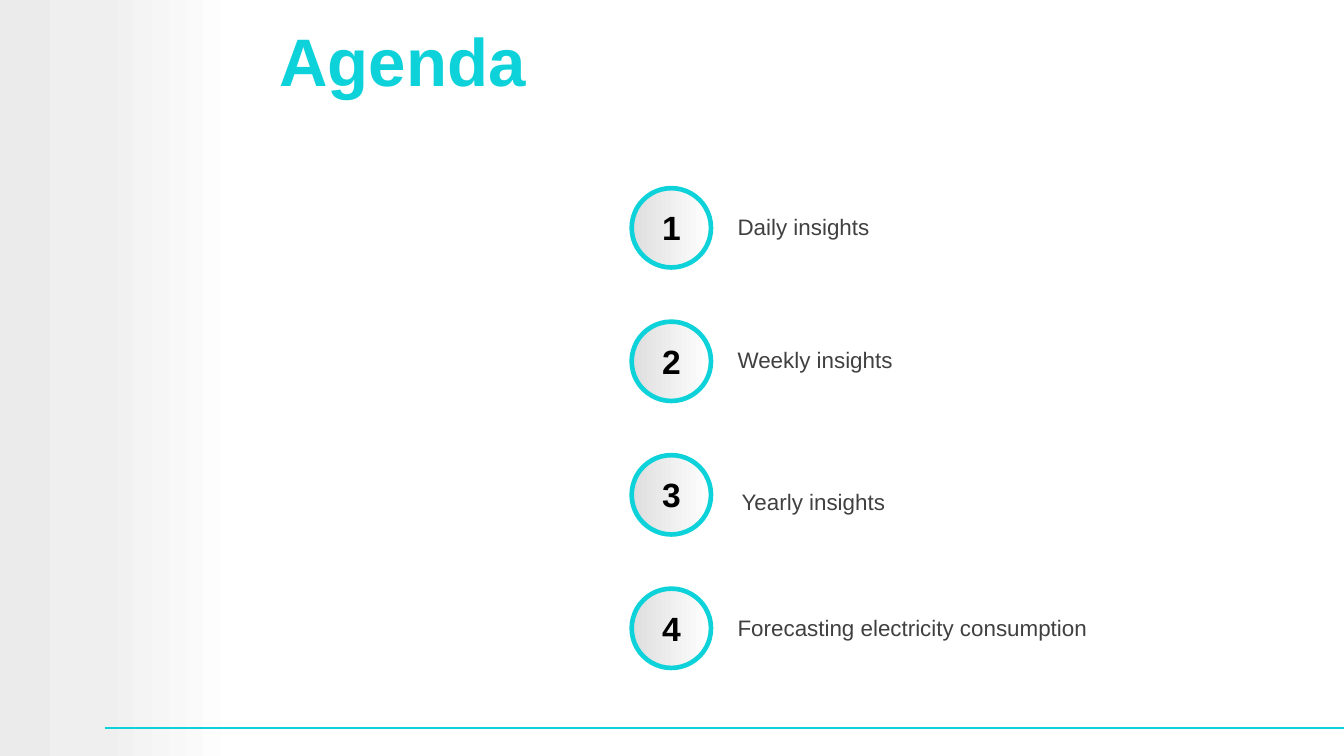
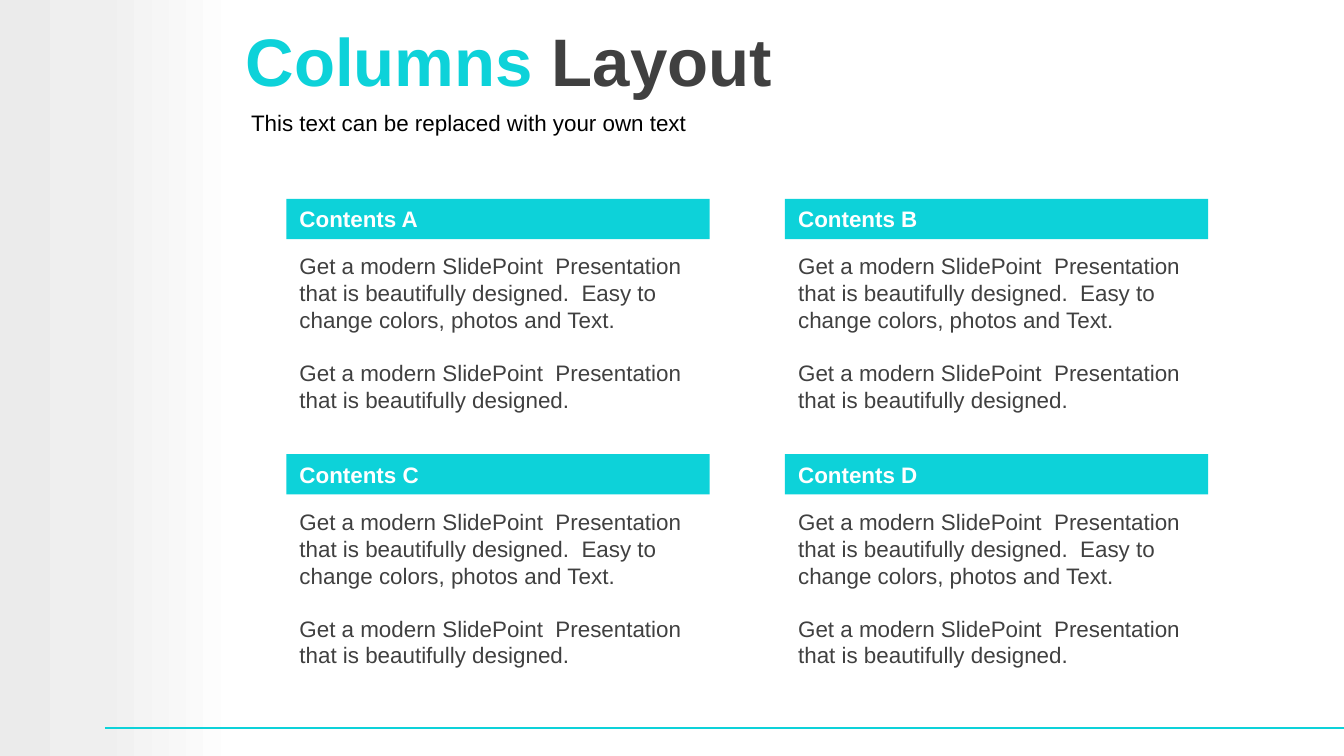
"""Build an agenda slide and a four-block columns slide."""
import copy
import pptx
import pptx.util
import pptx.dml.color
import pptx.enum.shapes
import pptx.enum.text
import pptx.oxml.ns
import lxml.etree

Inches = pptx.util.Inches
Pt = pptx.util.Pt
RGBColor = pptx.dml.color.RGBColor
SHAPE = pptx.enum.shapes.MSO_SHAPE
ANCHOR = pptx.enum.text.MSO_ANCHOR
ALIGN = pptx.enum.text.PP_ALIGN
qn = pptx.oxml.ns.qn

CYAN = RGBColor(0x0D, 0xD2, 0xD9)
DARK = RGBColor(0x40, 0x40, 0x40)
BLACK = RGBColor(0, 0, 0)
WHITE = RGBColor(255, 255, 255)
BAND = [(0, RGBColor(0xEB, 0xEB, 0xEB)), (0.42, RGBColor(0xEF, 0xEF, 0xEF)), (1, WHITE)]
DISC = [(0, RGBColor(0xDE, 0xDE, 0xDE)), (1, WHITE)]


def shade(shape, stops):
    shape.shadow.inherit = False
    shape.fill.gradient()
    shape.fill.gradient_angle = 0
    tree = shape._element.spPr.find(".//" + qn("a:gsLst"))
    while len(tree) < len(stops):
        tree.append(copy.deepcopy(tree[-1]))
    for stop, (place, color) in zip(shape.fill.gradient_stops, stops):
        stop.position = place
        stop.color.rgb = color


def write(shape, paras, size, anchor=ANCHOR.TOP, align=ALIGN.LEFT, bold=False):
    frame = shape.text_frame
    frame.word_wrap = True
    frame.vertical_anchor = anchor
    for index, parts in enumerate(paras):
        para = frame.add_paragraph() if index else frame.paragraphs[0]
        para.alignment = align
        for text, color in parts:
            run = para.add_run()
            run.text = text
            run.font.name = "Arial"
            run.font.size = Pt(size)
            run.font.bold = bold
            run.font.color.rgb = color
    return frame


deck = pptx.Presentation()
deck.slide_width = Inches(10)
deck.slide_height = Inches(10) * 9 // 16

titles = [
    (1.98, [("Agenda", CYAN)]),
    (1.73, [("Columns", CYAN), (" Layout", DARK)]),
]
slides = []
for left, parts in titles:
    slide = deck.slides.add_slide(deck.slide_layouts[6])
    band = slide.shapes.add_shape(SHAPE.RECTANGLE, 0, 0, Inches(1.77), deck.slide_height)
    shade(band, BAND)
    band.line.fill.background()
    rule = slide.shapes.add_connector(
        pptx.enum.shapes.MSO_CONNECTOR.STRAIGHT,
        Inches(0.78), Inches(5.42), Inches(10), Inches(5.42))
    rule.line.color.rgb = CYAN
    rule.line.width = Pt(1)
    lxml.etree.SubElement(rule._element.spPr, qn("a:effectLst"))
    title = slide.shapes.add_textbox(
        Inches(left), Inches(0.02), Inches(10 - left), Inches(0.85))
    write(title, [parts], 36, ANCHOR.MIDDLE, bold=True)
    slides.append(slide)

agenda, columns = slides

items = [
    ("Daily insights", 5.39, 1.54),
    ("Weekly insights", 5.39, 2.53),
    ("Yearly insights", 5.42, 3.58),
    ("Forecasting electricity consumption", 5.39, 4.52),
]
for index, (text, left, top) in enumerate(items):
    level = Inches(1.4 + index * 2.98 / 3)
    disc = agenda.shapes.add_shape(
        SHAPE.OVAL, Inches(4.7), level, Inches(0.59), Inches(0.59))
    shade(disc, DISC)
    disc.line.color.rgb = CYAN
    disc.line.width = Pt(2.5)
    digit = agenda.shapes.add_textbox(
        Inches(4.8), level + Inches(0.09), Inches(0.39), Inches(0.4))
    write(digit, [[(str(index + 1), BLACK)]], 18, ANCHOR.MIDDLE, ALIGN.CENTER, True)
    label = agenda.shapes.add_textbox(Inches(left), Inches(top), Inches(3.83), Inches(0.3))
    write(label, [[(text, DARK)]], 12)

note = columns.shapes.add_textbox(Inches(1.77), Inches(0.76), Inches(8.23), Inches(0.29))
write(note, [[("This text can be replaced with your own text", BLACK)]], 12)

lead = "Get a modern SlidePoint  Presentation that is beautifully designed."
more = "  Easy to change colors, photos and Text."
for index, letter in enumerate("ABCD"):
    row, col = divmod(index, 2)
    left = Inches(2.13 + col * 3.71)
    top = Inches(1.48 + row * 1.9)
    body = columns.shapes.add_textbox(left, top + Inches(0.35), Inches(3.15), Inches(1.31))
    frame = write(body, [[(lead + more, DARK)], [(lead, DARK)]], 12)
    frame.paragraphs[0].space_after = Pt(14)
    head = columns.shapes.add_shape(SHAPE.RECTANGLE, left, top, Inches(3.15), Inches(0.3))
    head.shadow.inherit = False
    head.fill.solid()
    head.fill.fore_color.rgb = CYAN
    head.line.fill.background()
    write(head, [[("Contents " + letter, WHITE)]], 12, bold=True)

deck.save("out.pptx")
